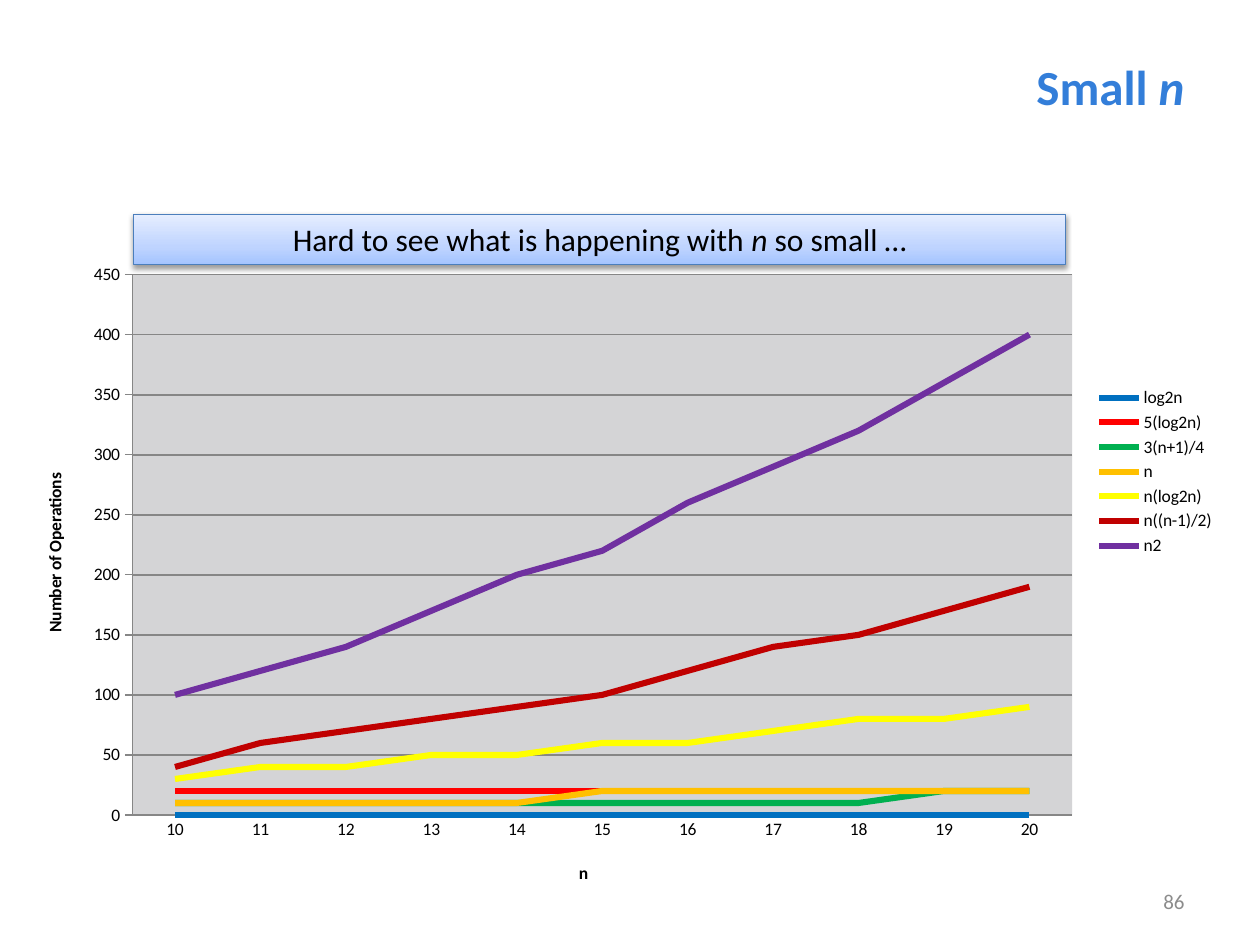
from math import log2
from pptx import Presentation
from pptx.chart.data import CategoryChartData
from pptx.dml.color import RGBColor
from pptx.enum.chart import XL_CHART_TYPE, XL_LEGEND_POSITION, XL_TICK_MARK
from pptx.enum.shapes import MSO_SHAPE
from pptx.enum.text import MSO_ANCHOR, PP_ALIGN
from pptx.oxml import parse_xml
from pptx.oxml.ns import nsdecls, qn
from pptx.util import Inches, Pt

COLORS = {"title": "337ED9", "text": "000000", "number": "8C8C8C",
          "plot": "D4D4D6", "grid": "868686", "border": "4B7EBC"}

# Content: runs are (text, italic)
TITLE = [("Small ", False), ("n", True)]
BANNER = [("Hard to see what is happening with ", False), ("n", True),
          (" so small …", False)]
NUMBER = [("86", False)]
SIZES = range(10, 21)
SERIES = [
    ("log2n", "0070C0", lambda n: log2(n)),
    ("5(log2n)", "FF0000", lambda n: 5 * log2(n)),
    ("3(n+1)/4", "00B050", lambda n: 3 * (n + 1) / 4),
    ("n", "FFC000", lambda n: n),
    ("n(log2n)", "FFFF00", lambda n: n * log2(n)),
    ("n((n-1)/2)", "C00000", lambda n: n * (n - 1) / 2),
    ("n2", "7030A0", lambda n: n * n),
]
BANNER_STOPS = [(0, "A4C4FF"), (35, "BFD4FF"), (100, "E6EEFF")]
CHART_W, CHART_H = 9.49, 6.88


def rgb(name):
    return RGBColor.from_string(COLORS.get(name, name))


def set_font(font, color, **values):
    for key, value in values.items():
        setattr(font, key, value)
    font.color.rgb = rgb(color)


def write(sp, runs, align, anchor, size, color, bold=False):
    tf = sp.text_frame
    tf.word_wrap, tf.vertical_anchor = True, anchor
    p = tf.paragraphs[0]
    p.alignment = align
    for text, italic in runs:
        r = p.add_run()
        r.text = text
        set_font(r.font, color, name="Calibri", size=Pt(size), bold=bold, italic=italic)


def place(parent, index, x, y, w=None, h=None, inner=False):
    """Lay out a chart part, in inches from the chart's corner."""
    for old in parent.findall(qn("c:layout")):
        parent.remove(old)
    parts = [("layoutTarget", "inner")] if inner else []
    parts += [("xMode", "edge"), ("yMode", "edge"), ("x", x / CHART_W), ("y", y / CHART_H)]
    parts += [("w", w / CHART_W), ("h", h / CHART_H)] if w else []
    body = "".join(f'<c:{tag} val="{value}"/>' for tag, value in parts)
    parent.insert(index, parse_xml(
        f'<c:layout {nsdecls("c")}><c:manualLayout>{body}</c:manualLayout></c:layout>'))


prs = Presentation()
prs.slide_width, prs.slide_height = Inches(10), Inches(7.5)
s = prs.slides.add_slide(prs.slide_layouts[5])

# Chart, with values to the nearest ten
data = CategoryChartData(number_format="0")
data.categories = [str(n) for n in SIZES]
for name, _, growth in SERIES:
    data.add_series(name, [int(round(growth(n), -1)) for n in SIZES])
chart = s.shapes.add_chart(XL_CHART_TYPE.LINE, Inches(0.26), Inches(0.31),
                           Inches(CHART_W), Inches(CHART_H), data).chart
chart.has_title = False
set_font(chart.font, "text", name="Calibri", size=Pt(10))
chart.plots[0].vary_by_categories = False
for series, (_, color, _) in zip(chart.plots[0].series, SERIES):
    series.smooth = False
    series.format.line.width = Pt(3.5)
    series.format.line.color.rgb = rgb(color)

# Axes
cat, val = chart.category_axis, chart.value_axis
for axis, title, x, y, tick in [
        (cat, "n", 4.31, 6.5, XL_TICK_MARK.NONE),
        (val, "Number of Operations", 0.06, 3.42, XL_TICK_MARK.OUTSIDE)]:
    axis.major_tick_mark, axis.minor_tick_mark = tick, XL_TICK_MARK.NONE
    axis.format.line.color.rgb = rgb("grid")
    axis.format.line.width = Pt(0.75)
    tf = axis.axis_title.text_frame
    tf.text = title
    set_font(tf.paragraphs[0].runs[0].font, "text", name="Calibri", size=Pt(10), bold=True)
    place(axis.axis_title._element, 1, x, y)
val.minimum_scale, val.maximum_scale, val.major_unit = 0, 450, 50
val.tick_labels.number_format = "0"
val.tick_labels.number_format_is_linked = False
val.has_major_gridlines = True
val.major_gridlines.format.line.color.rgb = rgb("grid")
val.major_gridlines.format.line.width = Pt(1)

# Legend and plot area
chart.has_legend = True
chart.legend.position = XL_LEGEND_POSITION.RIGHT
chart.legend.include_in_layout = False
place(chart.legend._element, 1, 8.39, 2.73, 1.04, 1.41)
area = chart._chartSpace.chart.plotArea
place(area, 0, 0.79, 1.87, 7.46, 4.29, inner=True)
area.append(parse_xml(
    f'<c:spPr {nsdecls("c", "a")}><a:solidFill><a:srgbClr val="{COLORS["plot"]}"/>'
    '</a:solidFill></c:spPr>'))

# Title
sp = s.shapes.title
sp.left, sp.top, sp.width, sp.height = map(Inches, (1.61, 0.38, 7.89, 0.61))
write(sp, TITLE, PP_ALIGN.RIGHT, MSO_ANCHOR.MIDDLE, 28, "title", bold=True)

# Page number
sp = s.shapes.add_textbox(Inches(7.17), Inches(6.95), Inches(2.33), Inches(0.4))
write(sp, NUMBER, PP_ALIGN.RIGHT, MSO_ANCHOR.MIDDLE, 12, "number")

# Banner with gradient and soft shadow
sp = s.shapes.add_shape(MSO_SHAPE.RECTANGLE, Inches(1.06), Inches(1.7),
                        Inches(7.4), Inches(0.4))
sp.line.color.rgb, sp.line.width = rgb("border"), Pt(0.75)
write(sp, BANNER, PP_ALIGN.CENTER, MSO_ANCHOR.TOP, 18, "text")
stops = "".join(f'<a:gs pos="{pos * 1000}"><a:srgbClr val="{color}"/></a:gs>'
                for pos, color in BANNER_STOPS)
spPr = sp._element.spPr
spPr.find(qn("a:prstGeom")).addnext(parse_xml(
    f'<a:gradFill {nsdecls("a")} rotWithShape="1"><a:gsLst>{stops}</a:gsLst>'
    '<a:lin ang="16200000" scaled="0"/></a:gradFill>'))
spPr.append(parse_xml(
    f'<a:effectLst {nsdecls("a")}><a:outerShdw blurRad="{Pt(3.1)}" dist="{Pt(1.6)}" '
    'dir="5400000" rotWithShape="0"><a:srgbClr val="000000"><a:alpha val="38000"/>'
    '</a:srgbClr></a:outerShdw></a:effectLst>'))

prs.save("out.pptx")
